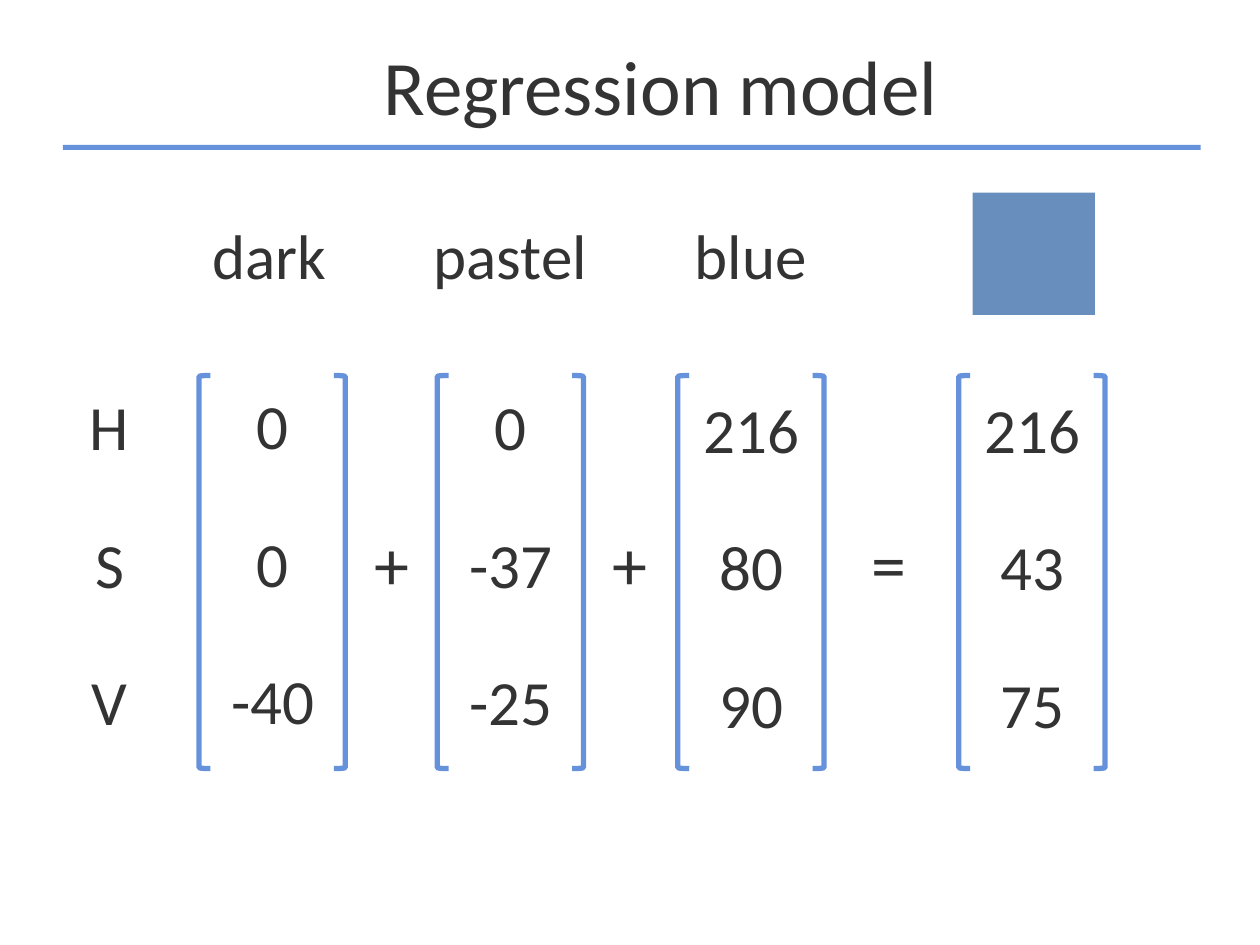
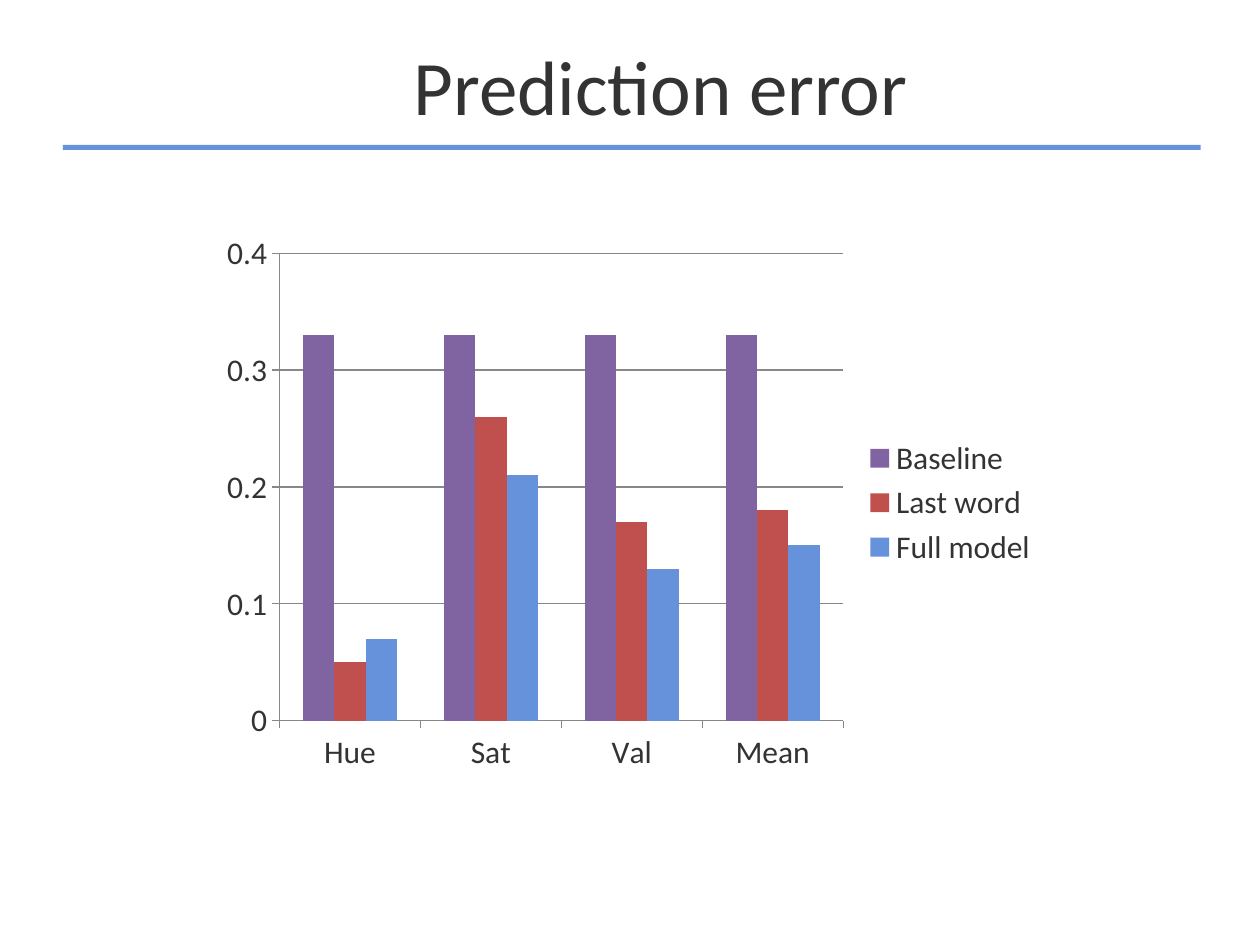
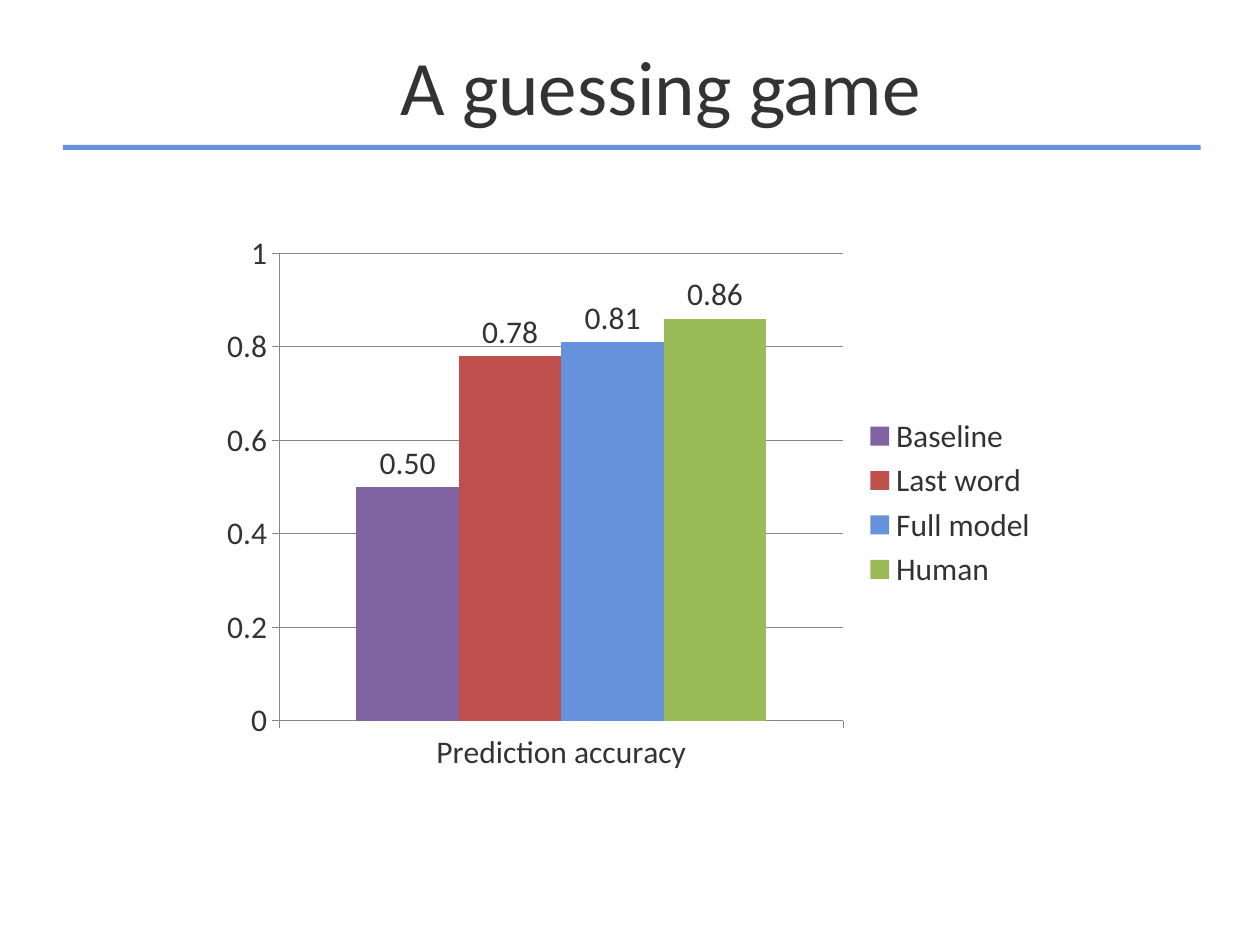
from pptx import Presentation
from pptx.chart.data import CategoryChartData
from pptx.dml.color import RGBColor
from pptx.enum.chart import XL_CHART_TYPE as CHART, XL_LABEL_POSITION as LABEL
from pptx.enum.chart import XL_LEGEND_POSITION as LEGEND, XL_TICK_MARK as TICK
from pptx.enum.shapes import MSO_SHAPE as SHAPE
from pptx.enum.text import MSO_ANCHOR as ANCHOR, MSO_AUTO_SIZE as AUTO, PP_ALIGN as ALIGN
from pptx.util import Inches, Pt

# Shared look
FONT = "Calibri"
INK, WHITE, BLUE, SWATCH, GREY = "333333", "FFFFFF", "6692DC", "688EBE", "878787"
SERIES_COLORS = {"Baseline": "8064A2", "Last word": "C0504D",
                 "Full model": BLUE, "Human": "9BBB59"}
LINE_H = 0.71       # height of one line of 36 pt text
ROW_PITCH = 1.09    # distance between matrix rows


def rgb(value):
    return RGBColor.from_string(value)


def set_font(font, size):
    font.name, font.size = FONT, Pt(size)
    font.color.rgb = rgb(INK)


def add_run(p, text, size, align):
    p.alignment = align
    r = p.add_run()
    r.text = text
    set_font(r.font, size)


def add_block(s, kind, x, y, w, h, fill=None, line=None):
    sp = s.shapes.add_shape(kind, Inches(x), Inches(y), Inches(w), Inches(h))
    sp.shadow.inherit = False
    if fill:
        sp.fill.solid()
        sp.fill.fore_color.rgb = rgb(fill)
    else:
        sp.fill.background()
    if line:
        sp.line.color.rgb = rgb(line)
        sp.line.width = Pt(3)
    else:
        sp.line.fill.background()
    return sp


def write(sp, text, size=36, align=ALIGN.CENTER, wrap=True):
    tf = sp.text_frame
    tf.word_wrap = wrap
    tf.auto_size = AUTO.SHAPE_TO_FIT_TEXT
    tf.vertical_anchor = ANCHOR.TOP
    add_run(tf.paragraphs[0], text, size, align)


def add_text(s, text, x, y, w, h=LINE_H, **style):
    sp = s.shapes.add_textbox(Inches(x), Inches(y), Inches(w), Inches(h))
    write(sp, text, **style)


def add_label(s, text, x, y, w):
    write(add_block(s, SHAPE.RECTANGLE, x, y, w, LINE_H, fill=WHITE), text)


def new_slide(prs, title):
    s = prs.slides.add_slide(prs.slide_layouts[5])
    add_block(s, SHAPE.RECTANGLE, 0.5, 1.15, 9.03, 0.04, fill=BLUE)
    sp = s.shapes.title
    sp.left, sp.top, sp.width, sp.height = map(Inches, (1.33, 0.12, 7.83, 1.1))
    sp.text_frame.vertical_anchor = ANCHOR.MIDDLE
    add_run(sp.text_frame.paragraphs[0], title, 44, ALIGN.CENTER)
    return s


# Regression slide
def add_vector(s, values, x, y, drop):
    """Bracketed column at x, y; its values start the given drop below y."""
    for kind, dx in ((SHAPE.LEFT_BRACKET, 0), (SHAPE.RIGHT_BRACKET, 1.07)):
        add_block(s, kind, x + dx, y, 0.09, 3.12, line=BLUE)
    for i, value in enumerate(values):
        add_text(s, value, x + 0.04, y + drop + i * ROW_PITCH, 1.09)


def regression_slide(prs):
    s = new_slide(prs, "Regression model")
    top = 2.98

    # Words and the resulting colour
    for i, word in enumerate(("dark", "pastel", "blue")):
        add_label(s, word, 1.04 + i * 1.91, 1.67, 2.2)
    add_block(s, SHAPE.RECTANGLE, 7.72, 1.53, 0.97, 0.97, fill=SWATCH)

    # Row names and vectors
    for i, name in enumerate("HSV"):
        add_label(s, name, 0.47, top + 0.05 + i * ROW_PITCH, 0.8)
    vectors = ((1.58, 0.04, ("0", "0", "-40")),
               (3.47, 0.05, ("0", "-37", "-25")),
               (5.38, 0.07, ("216", "80", "90")),
               (7.61, 0.07, ("216", "43", "75")))
    for x, drop, values in vectors:
        add_vector(s, values, x, top, drop)

    # Operators
    for sign, x in (("+", 2.87), ("+", 4.76), ("=", 6.82)):
        add_text(s, sign, x, 4.08, 0.48, 0.77, size=40, align=ALIGN.LEFT, wrap=False)


# Chart slides
def style_axes(chart, top, step):
    axis = chart.value_axis
    axis.minimum_scale, axis.maximum_scale, axis.major_unit = 0, top, step
    axis.has_major_gridlines = True
    axis.tick_labels.number_format = "General"
    axis.tick_labels.number_format_is_linked = False
    for ax in (axis, chart.category_axis):
        ax.major_tick_mark, ax.minor_tick_mark = TICK.OUTSIDE, TICK.NONE
    for line in (axis.format.line, axis.major_gridlines.format.line,
                 chart.category_axis.format.line):
        line.color.rgb = rgb(GREY)
        line.width = Pt(0.75)


def add_value_labels(series):
    labels = series.data_labels
    labels.show_value = True
    labels.number_format = "#,##0.00"
    labels.number_format_is_linked = False
    labels.position = LABEL.OUTSIDE_END


def chart_slide(prs, title, cats, series, top, step, labelled=False):
    s = new_slide(prs, title)
    data = CategoryChartData()
    data.categories = cats
    for name, values in series.items():
        data.add_series(name, values)
    box = map(Inches, (1.67, 1.77, 6.67, 4.44))
    chart = s.shapes.add_chart(CHART.COLUMN_CLUSTERED, *box, data).chart
    set_font(chart.font, 18)
    chart.has_title = False
    chart.has_legend = True
    chart.legend.position = LEGEND.RIGHT
    chart.legend.include_in_layout = False
    style_axes(chart, top, step)

    plot = chart.plots[0]
    plot.vary_by_categories = False
    plot.gap_width, plot.overlap = 150, 0
    for ser in plot.series:
        ser.format.fill.solid()
        ser.format.fill.fore_color.rgb = rgb(SERIES_COLORS[ser.name])
        if labelled:
            add_value_labels(ser)


def main():
    prs = Presentation()
    prs.slide_width, prs.slide_height = Inches(10), Inches(7.5)
    regression_slide(prs)
    chart_slide(prs, "Prediction error", ("Hue", "Sat", "Val", "Mean"),
                {"Baseline": (0.33, 0.33, 0.33, 0.33),
                 "Last word": (0.05, 0.26, 0.17, 0.18),
                 "Full model": (0.07, 0.21, 0.13, 0.15)}, top=0.4, step=0.1)
    chart_slide(prs, "A guessing game", ("Prediction accuracy",),
                {"Baseline": (0.5,), "Last word": (0.78,),
                 "Full model": (0.81,), "Human": (0.86,)},
                top=1, step=0.2, labelled=True)
    prs.save("out.pptx")


if __name__ == "__main__":
    main()
